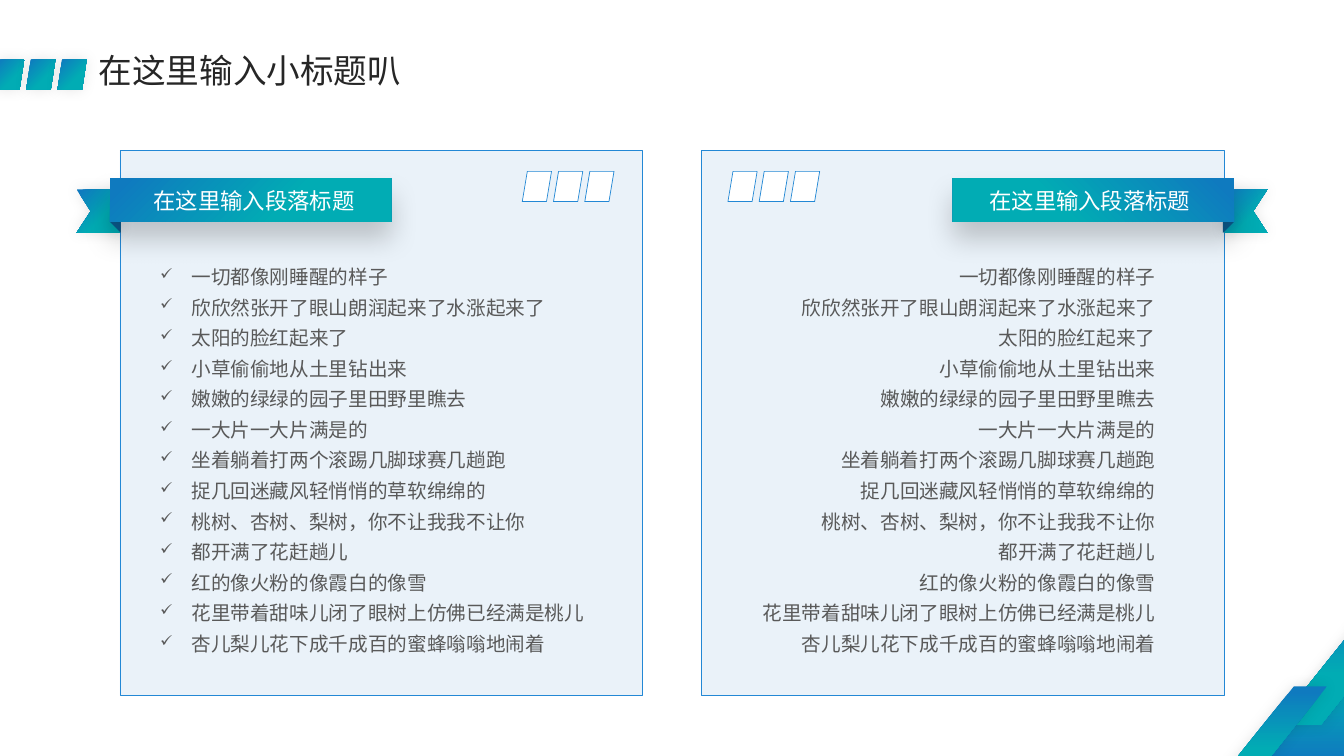
from pptx import Presentation
from pptx.dml.color import RGBColor
from pptx.enum.shapes import MSO_SHAPE as SHAPE
from pptx.enum.text import MSO_ANCHOR as ANCHOR, MSO_AUTO_SIZE as AUTO_SIZE, PP_ALIGN as ALIGN
from pptx.oxml import parse_xml
from pptx.oxml.ns import nsdecls, qn
from pptx.util import Inches, Pt

BLUE, TEAL, FOLD = "0F7ABF", "01ACB4", "0B5C8F"
PANEL, OUTLINE = "BCD6ED", "2388D5"
MARK_STEP, MARK_WIDTH, MARK_HEIGHT, MARK_SLANT = 0.31, 0.29, 0.3, 0.05
PANEL_TOP, PANEL_WIDTH, PANEL_HEIGHT = 1.49, 5.18, 5.41
LIST_TOP, LIST_WIDTH, LIST_HEIGHT = 2.51, 4.59, 4.06
RIBBON_TOP, RIBBON_WIDTH, RIBBON_HEIGHT = 1.77, 2.79, 0.43

TITLE = "在这里输入小标题叭"
CAPTION = "在这里输入段落标题"
LINES = [
    "一切都像刚睡醒的样子",
    "欣欣然张开了眼山朗润起来了水涨起来了",
    "太阳的脸红起来了",
    "小草偷偷地从土里钻出来",
    "嫩嫩的绿绿的园子里田野里瞧去",
    "一大片一大片满是的",
    "坐着躺着打两个滚踢几脚球赛几趟跑",
    "捉几回迷藏风轻悄悄的草软绵绵的",
    "桃树、杏树、梨树，你不让我我不让你",
    "都开满了花赶趟儿",
    "红的像火粉的像霞白的像雪",
    "花里带着甜味儿闭了眼树上仿佛已经满是桃儿",
    "杏儿梨儿花下成千成百的蜜蜂嗡嗡地闹着",
]


def rgb(color):
    return RGBColor.from_string(color)


def add_shadow(shape, percent=10, blur=10, distance=0, angle=315):
    shape.shadow.inherit = False
    effects = shape._element.spPr.find(qn("a:effectLst"))
    effects.append(parse_xml(
        f'<a:outerShdw {nsdecls("a")} blurRad="{Pt(blur)}" dist="{Pt(distance)}" '
        f'dir="{angle * 60000}" algn="ctr" rotWithShape="0"><a:srgbClr val="000000">'
        f'<a:alpha val="{percent * 1000}"/></a:srgbClr></a:outerShdw>'))


def fill_gradient(shape, angle=45):
    """Blue to teal, with the angle measured clockwise."""
    shape.fill.gradient()
    shape.fill.gradient_angle = 360 - angle
    for stop, color, position in zip(shape.fill.gradient_stops, (BLUE, TEAL), (0.05, 0.63)):
        stop.color.rgb = rgb(color)
        stop.position = position
    shape.line.fill.background()


def add_preset(slide, kind, box, adjustment=None):
    shape = slide.shapes.add_shape(kind, *map(Inches, box))
    if adjustment is not None:
        shape.adjustments[0] = adjustment
    add_shadow(shape)
    return shape


def add_outline(slide, contours):
    """Closed freeform from one or more lists of points in inches."""
    builder = None
    for contour in contours:
        points = [(Inches(x), Inches(y)) for x, y in contour]
        if builder is None:
            builder = slide.shapes.build_freeform(*points[0])
        else:
            builder.move_to(*points[0])
        builder.add_line_segments(points[1:], close=True)
    return builder.convert_to_shape()


def add_text(slide, box, lines, size, color, face="Roboto", align=ALIGN.LEFT,
             spacing=None, bullet=None, wrap=True):
    frame = slide.shapes.add_textbox(*map(Inches, box)).text_frame
    frame.word_wrap = wrap
    frame.text = "\n".join(lines)
    for paragraph in frame.paragraphs:
        paragraph.alignment = align
        if bullet:
            properties = paragraph._p.get_or_add_pPr()
            properties.set("marL", str(Inches(0.31)))
            properties.set("indent", str(-Inches(0.31)))
            for tag in ('buSzPct val="80000"', f'buChar char="{bullet}"'):
                properties.append(parse_xml(f'<a:{tag} {nsdecls("a")}/>'))
        if spacing:
            paragraph.line_spacing = spacing
        font = paragraph.font
        font.size, font.name = Pt(size), face
        font.color.rgb = rgb(color)
        font._rPr.append(parse_xml(f'<a:ea {nsdecls("a")} typeface="{face}"/>'))
    return frame


def add_corner(slide):
    for box, slant, angle in (((12.42, 6.26, 2.17, 1.35), 0.79, 270),
                              ((12.66, 5.87, 1.5, 1.32), 0.8, 90),
                              ((12.04, 6.81, 1.12, 0.99), 0.8, 90)):
        fill_gradient(add_preset(slide, SHAPE.PARALLELOGRAM, box, slant), angle)


def add_header(slide, left, top):
    for i in range(3):
        box = (left + i * MARK_STEP, top, MARK_WIDTH, MARK_HEIGHT)
        fill_gradient(add_preset(slide, SHAPE.PARALLELOGRAM, box, 0.16))
    title = add_text(slide, (left + 0.93, top - 0.07, 9.89, 0.39), [TITLE], 24, "262626",
                     face="Noto Sans CJK SC", spacing=0.9)
    title.vertical_anchor = ANCHOR.MIDDLE


def add_panel(slide, left, marks_offset):
    """Tinted panel with three slanted windows cut out near its top."""
    top, right, bottom = PANEL_TOP, left + PANEL_WIDTH, PANEL_TOP + PANEL_HEIGHT
    mark_top, mark_bottom = top + 0.21, top + 0.21 + MARK_HEIGHT
    contours = []
    for i in range(3):
        x = left + marks_offset + i * MARK_STEP
        contours.append([(x + MARK_SLANT, mark_top), (x, mark_bottom),
                         (x + MARK_WIDTH - MARK_SLANT, mark_bottom),
                         (x + MARK_WIDTH, mark_top)])
    contours.append([(left, top), (right, top), (right, bottom), (left, bottom)])
    panel = add_outline(slide, contours)
    panel.shadow.inherit = False
    panel.fill.solid()
    panel.fill.fore_color.rgb = rgb(PANEL)
    tint = panel._element.spPr.find(qn("a:solidFill"))[0]
    tint.append(parse_xml(f'<a:alpha {nsdecls("a")} val="30000"/>'))
    panel.line.color.rgb = rgb(OUTLINE)
    panel.line.width = Pt(0.5)


def add_ribbon(slide, edge, inward):
    """Ribbon from its outer edge; inward is 1 to run right, -1 to run left."""
    def span(start, width):
        return min(edge + inward * start, edge + inward * (start + width))

    tail_top = RIBBON_TOP + 0.11
    tail_bottom = tail_top + RIBBON_HEIGHT
    tail = add_outline(slide, [[(edge + inward * dx, y) for dx, y in (
        (-0.33, tail_top), (0.1, tail_top), (0.1, tail_bottom),
        (-0.33, tail_bottom), (-0.19, (tail_top + tail_bottom) / 2))]])
    fill_gradient(tail)
    add_shadow(tail)

    fold = add_preset(slide, SHAPE.ISOSCELES_TRIANGLE,
                      (span(0, 0.11), RIBBON_TOP + RIBBON_HEIGHT, 0.11, 0.11), 1)
    fold.fill.solid()
    fold.fill.fore_color.rgb = rgb(FOLD)
    fold.line.fill.background()
    fold._element.spPr.xfrm.set("flipV", "1")

    band = slide.shapes.add_shape(SHAPE.RECTANGLE, *map(Inches, (
        span(0, RIBBON_WIDTH), RIBBON_TOP, RIBBON_WIDTH, RIBBON_HEIGHT)))
    fill_gradient(band)
    add_shadow(band, percent=20, blur=20, distance=12, angle=90)
    if inward < 0:
        for part in (fold, band):
            part._element.spPr.xfrm.set("flipH", "1")

    add_text(slide, (span(0.32, 2.22), RIBBON_TOP + 0.04, 2.22, 0.37), [CAPTION],
             16, "FFFFFF", align=ALIGN.CENTER, wrap=False)


def add_list(slide, left, align, bullet=None):
    frame = add_text(slide, (left, LIST_TOP, LIST_WIDTH, LIST_HEIGHT), LINES, 14, "595959",
                     align=align, spacing=1.3, bullet=bullet)
    frame.auto_size = AUTO_SIZE.SHAPE_TO_FIT_TEXT


def main():
    deck = Presentation()
    deck.slide_width, deck.slide_height = Inches(13.33), Inches(7.5)
    slide = deck.slides.add_slide(deck.slide_layouts[6])
    add_corner(slide)
    add_header(slide, -0.05, 0.59)
    add_panel(slide, 1.19, marks_offset=3.99)
    add_panel(slide, 6.96, marks_offset=0.26)
    add_list(slide, 1.49, ALIGN.LEFT, bullet="✓")
    add_ribbon(slide, 1.09, inward=1)
    add_ribbon(slide, 12.24, inward=-1)
    add_list(slide, 6.97, ALIGN.RIGHT)
    deck.save("out.pptx")


if __name__ == "__main__":
    main()
